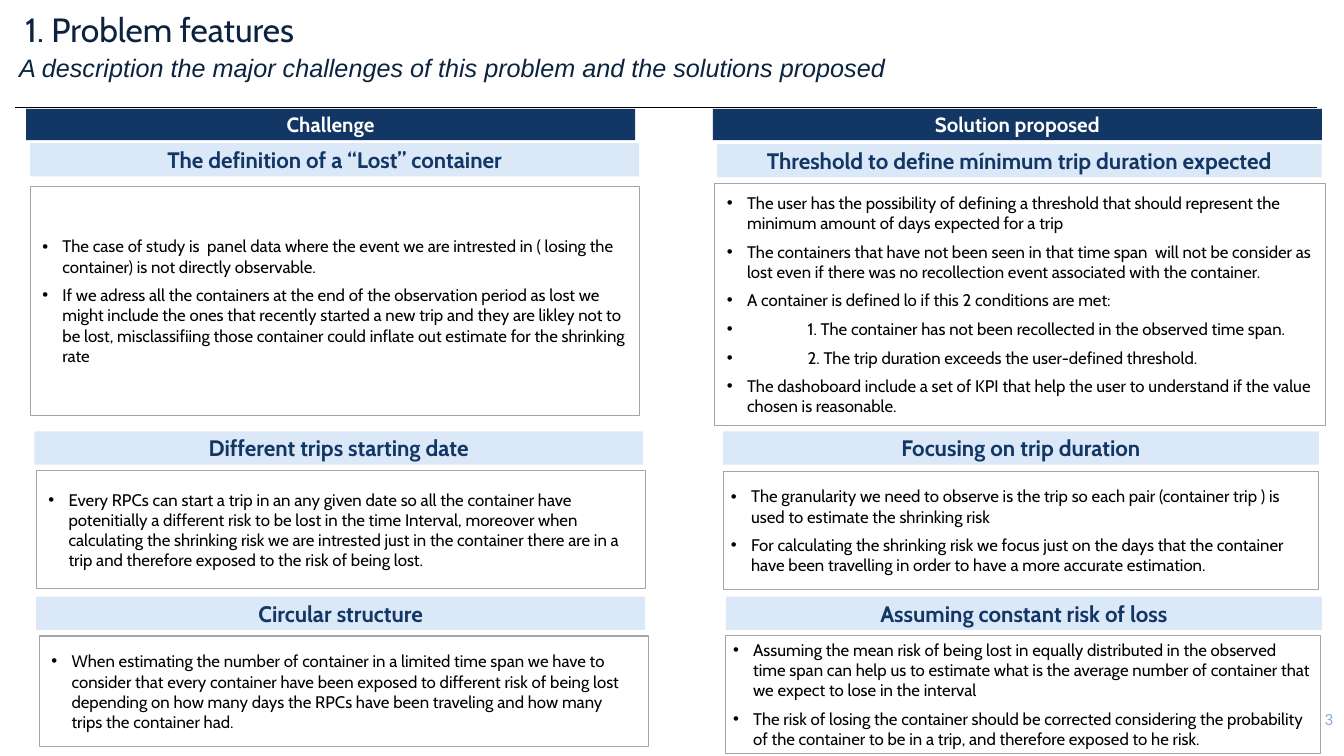
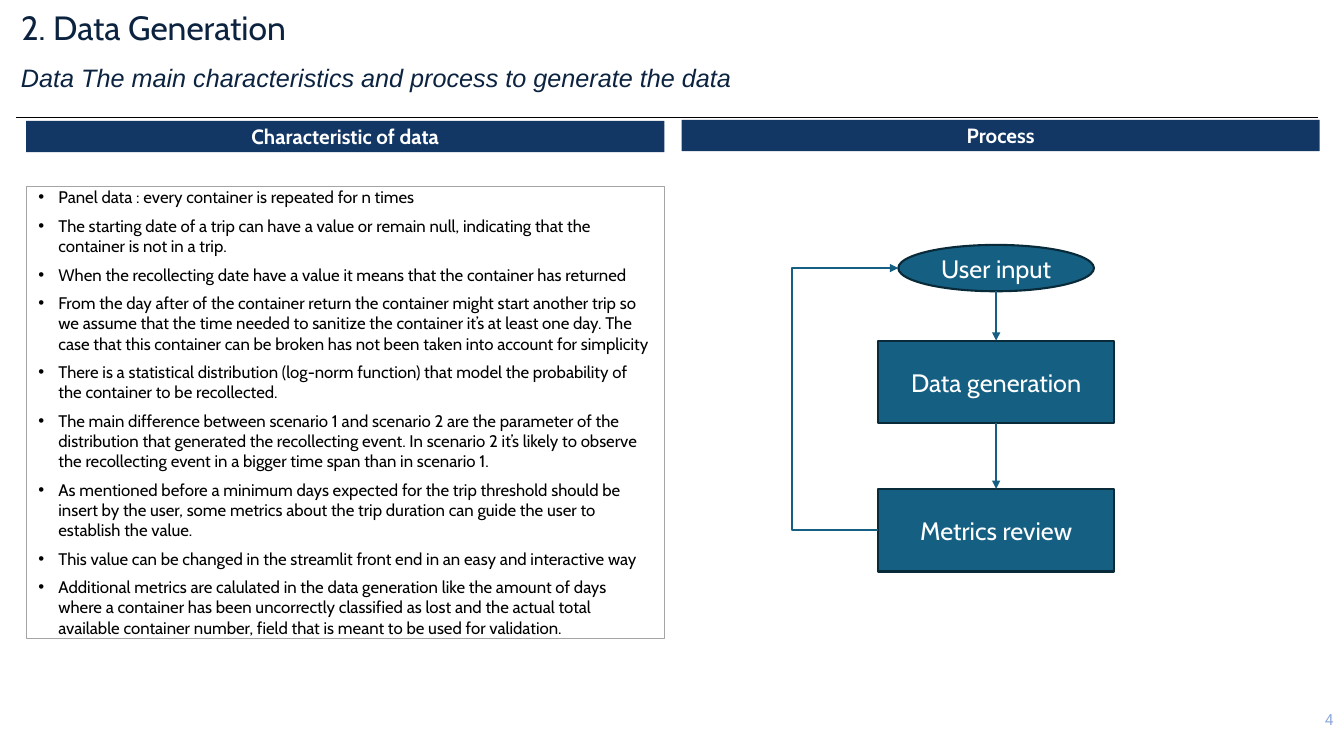
from dataclasses import dataclass
from typing import Any

from lxml.etree import SubElement
from pptx import Presentation
from pptx.dml.color import RGBColor
from pptx.enum.shapes import MSO_CONNECTOR, MSO_SHAPE
from pptx.enum.text import MSO_ANCHOR, MSO_AUTO_SIZE, PP_ALIGN
from pptx.oxml.ns import qn
from pptx.util import Emu, Pt

EMU_PER_PX = 9144


@dataclass(frozen=True)
class TextStyle:
    size: float
    color: str
    name: str = "Cabin"
    bold: bool = False
    italic: bool = False


@dataclass(frozen=True)
class Theme:
    navy: str = "133765"
    pale: str = "DAE8F8"
    teal: str = "156082"
    teal_edge: str = "092A39"
    frame: str = "A5A5A5"
    rule: str = "000000"
    title: TextStyle = TextStyle(24, "0C2340")
    subtitle: TextStyle = TextStyle(18, "0C2340", name="Arial", italic=True)
    band: TextStyle = TextStyle(14.7, "FFFFFF", bold=True)
    heading: TextStyle = TextStyle(16, "133765", bold=True)
    body: TextStyle = TextStyle(12, "000000")
    step: TextStyle = TextStyle(18, "FFFFFF")
    page: TextStyle = TextStyle(11, "8FAADC", name="Roboto")


THEME = Theme()


@dataclass(frozen=True)
class Box:
    left: int
    top: int
    width: int
    height: int

    @property
    def emu(self) -> tuple[Emu, ...]:
        return tuple(map(px, (self.left, self.top, self.width, self.height)))


@dataclass(frozen=True)
class Point:
    text: str
    indent: int = 20


@dataclass(frozen=True)
class Panel:
    at: Box
    points: tuple[Point, ...]
    inset: int = 12
    edge: float = 0.75


@dataclass(frozen=True)
class Card:
    heading: str
    heading_at: Box
    panel: Panel


@dataclass(frozen=True)
class Step:
    label: str
    at: Box
    kind: MSO_SHAPE = MSO_SHAPE.RECTANGLE


@dataclass(frozen=True)
class Header:
    title: str
    subtitle: str
    page: str
    left: int
    title_top: int
    subtitle_left: int
    subtitle_top: int
    rule_left: int


PAGE_AT = Box(1314, 705, 18, 20)


def px(length: int) -> Emu:
    return Emu(length * EMU_PER_PX)


def points(*texts: str) -> tuple[Point, ...]:
    return tuple(Point(text) for text in texts)


def apply(target: Any, values: dict[str, Any]) -> None:
    for key, value in values.items():
        setattr(target, key, value)


def write(paragraph: Any, text: str, style: TextStyle) -> None:
    run = paragraph.add_run()
    run.text = text
    apply(run.font, {"size": Pt(style.size), "name": style.name,
                     "bold": style.bold, "italic": style.italic})
    run.font.color.rgb = RGBColor.from_string(style.color)


def set_frame(frame: Any, anchor: MSO_ANCHOR, inset: int | None = None) -> None:
    apply(frame, {"word_wrap": True, "auto_size": MSO_AUTO_SIZE.NONE,
                  "vertical_anchor": anchor})
    if inset is not None:
        sides = ("left", "top", "right", "bottom")
        apply(frame, {f"margin_{side}": px(inset) for side in sides})


def add_label(slide: Any, at: Box, text: str, style: TextStyle,
              anchor: MSO_ANCHOR, inset: int | None = None) -> None:
    frame = slide.shapes.add_textbox(*at.emu).text_frame
    set_frame(frame, anchor, inset)
    write(frame.paragraphs[0], text, style)


def add_block(slide: Any, at: Box, fill: str | None = None, edge: str | None = None,
              weight: float = 0.75, kind: MSO_SHAPE = MSO_SHAPE.RECTANGLE) -> Any:
    block = slide.shapes.add_shape(kind, *at.emu)
    block.shadow.inherit = False
    if fill:
        block.fill.solid()
        block.fill.fore_color.rgb = RGBColor.from_string(fill)
    else:
        block.fill.background()
    if edge:
        block.line.color.rgb = RGBColor.from_string(edge)
        block.line.width = Pt(weight)
    else:
        block.line.fill.background()
    return block


def add_centred(block: Any, text: str, style: TextStyle, inset: int | None = 0) -> None:
    set_frame(block.text_frame, MSO_ANCHOR.MIDDLE, inset)
    paragraph = block.text_frame.paragraphs[0]
    paragraph.alignment = PP_ALIGN.CENTER
    write(paragraph, text, style)


def add_band(slide: Any, text: str, at: Box) -> None:
    add_centred(add_block(slide, at, THEME.navy), text, THEME.band)


def add_panel(slide: Any, panel: Panel) -> None:
    block = add_block(slide, panel.at, edge=THEME.frame, weight=panel.edge)
    frame = block.text_frame
    set_frame(frame, MSO_ANCHOR.MIDDLE, panel.inset)
    for index, point in enumerate(panel.points):
        paragraph = frame.add_paragraph() if index else frame.paragraphs[0]
        apply(paragraph, {"alignment": PP_ALIGN.LEFT, "space_before": Pt(6)})
        properties = paragraph._p.get_or_add_pPr()
        properties.set("marL", str(px(point.indent)))
        properties.set("indent", str(-px(point.indent)))
        SubElement(properties, qn("a:buFont")).set("typeface", "Arial")
        SubElement(properties, qn("a:buChar")).set("char", "•")
        write(paragraph, point.text, THEME.body)


def add_card(slide: Any, card: Card) -> None:
    add_centred(add_block(slide, card.heading_at, THEME.pale), card.heading, THEME.heading)
    add_panel(slide, card.panel)


def add_line(slide: Any, start: tuple[int, int], end: tuple[int, int], color: str,
             weight: float, arrow: bool = False,
             kind: MSO_CONNECTOR = MSO_CONNECTOR.STRAIGHT) -> Any:
    line = slide.shapes.add_connector(kind, *map(px, start + end))
    line.line.color.rgb = RGBColor.from_string(color)
    line.line.width = Pt(weight)
    properties = line.element.spPr
    if arrow:
        SubElement(properties.find(qn("a:ln")), qn("a:tailEnd")).set("type", "triangle")
    SubElement(properties, qn("a:effectLst"))
    return line


def add_header(deck: Any, header: Header) -> Any:
    slide = deck.slides.add_slide(deck.slide_layouts[5])
    add_label(slide, PAGE_AT, header.page, THEME.page, MSO_ANCHOR.TOP, 0)
    title = slide.shapes.title
    at = Box(header.left, header.title_top, 1123, 46)
    apply(title, dict(zip(("left", "top", "width", "height"), at.emu)))
    set_frame(title.text_frame, MSO_ANCHOR.TOP)
    heading = title.text_frame.paragraphs[0]
    apply(heading, {"alignment": PP_ALIGN.LEFT, "line_spacing": 0.9})
    write(heading, header.title, THEME.title)
    add_label(slide, Box(header.subtitle_left, header.subtitle_top, 1291, 35),
              header.subtitle, THEME.subtitle, MSO_ANCHOR.MIDDLE)
    rule_top = header.subtitle_top + 58
    add_line(slide, (header.rule_left, rule_top), (header.rule_left + 1291, rule_top),
             THEME.rule, 0.75)
    return slide


CARDS = (
    Card("The definition of a “Lost” container", Box(30, 142, 604, 33),
         Panel(Box(30, 185, 604, 227), points(
             "The case of study is  panel data where the event we are intrested in ( losing the container) is not directly observable.",
             "If we adress all the containers at the end of the observation period as lost we might include the ones that recently started a new trip and they are likley not to be lost, misclassifiing those container could inflate out estimate for the shrinking rate"))),
    Card("Threshold to define mínimum trip duration expected", Box(711, 143, 600, 33),
         Panel(Box(709, 182, 606, 240), points(
             "The user has the possibility of defining a threshold that should represent the minimum amount of days expected for a trip",
             "The containers that have not been seen in that time span  will not be consider as lost even if there was no recollection event associated with the container.",
             "A container is defined lo if this 2 conditions are met:") + (
             Point("1. The container has not been recollected in the observed time span.", 80),
             Point("2. The trip duration exceeds the user-defined threshold.", 80),
             Point("The dashoboard include a set of KPI that help the user to understand if the value chosen is reasonable.")))),
    Card("Different trips starting date", Box(34, 428, 604, 33),
         Panel(Box(36, 467, 604, 117), points(
             "Every RPCs can start a trip in an any given date so all the container have potenitially a different risk to be lost in the time Interval, moreover when calculating the shrinking risk we are intrested just in the container there are in a trip and therefore exposed to the risk of being lost."))),
    Card("Focusing on trip duration", Box(717, 428, 591, 33),
         Panel(Box(717, 468, 591, 117), points(
             "The granularity we need to observe is the trip so each pair (container trip ) is used to estimate the shrinking risk",
             "For calculating the shrinking risk we focus just on the days that the container have been travelling in order to have a more accurate estimation."), 8, 0.5)),
    Card("Circular structure", Box(36, 592, 604, 33),
         Panel(Box(39, 631, 604, 110), points(
             "When estimating the number of container in a limited time span we have to consider that every container have been exposed to different risk of being lost depending on how many days the RPCs have been traveling and how many trips the container had."))),
    Card("Assuming constant risk of loss", Box(720, 592, 591, 33),
         Panel(Box(719, 630, 591, 117), points(
             "Assuming the mean risk of being lost in equally distributed in the observed time span can help us to estimate what is the average number of container that we expect to lose in the interval",
             "The risk of losing the container should be corrected considering the probability of the container to be in a trip, and therefore exposed to he risk."), 8, 0.5)),
)

DATA_TRAITS = Panel(Box(26, 185, 633, 448), points(
    "Panel data : every container is repeated for n times",
    "The starting date of a trip can have a value or remain null, indicating that the container is not in a trip.",
    "When the recollecting date have a value it means that the container has returned",
    "From the day after of the container return the container might start another trip so we assume that the time needed to sanitize the container it’s at least one day. The case that this container can be broken has not been taken into account for simplicity",
    "There is a statistical distribution (log-norm function) that model the probability of the container to be recollected.",
    "The main difference between scenario 1 and scenario 2 are the parameter of the distribution that generated the recollecting event. In scenario 2 it’s likely to observe the recollecting event in a bigger time span than in scenario 1.",
    "As mentioned before a minimum days expected for the trip threshold should be insert by the user, some metrics about the trip duration can guide the user to establish the value.",
    "This value can be changed in the streamlit front end in an easy and interactive way",
    "Additional metrics are calulated in the data generation like the amount of days where a container has been uncorrectly classified as lost and the actual total available container number, field that is meant to be used for validation."))

STEPS = (
    Step("User input", Box(891, 243, 194, 46), MSO_SHAPE.OVAL),
    Step("Data generation", Box(871, 338, 234, 82)),
    Step("Metrics review", Box(871, 485, 234, 82)),
)
LOOP_LEFT = 786


def build_problem(deck: Any) -> None:
    slide = add_header(deck, Header(
        "1. Problem features",
        "A description the major challenges of this problem and the solutions proposed",
        "3", 15, 8, 9, 49, 15))
    add_band(slide, "Challenge", Box(26, 108, 604, 31))
    add_band(slide, "Solution proposed", Box(707, 108, 604, 31))
    for card in CARDS:
        add_card(slide, card)


def build_process(slide: Any) -> None:
    blocks = []
    for step in STEPS:
        block = add_block(slide, step.at, THEME.teal, THEME.teal_edge, 1.5, step.kind)
        add_centred(block, step.label, THEME.step, None)
        blocks.append(block)
    for index, (upper, lower) in enumerate(zip(STEPS, STEPS[1:])):
        middle = upper.at.left + upper.at.width // 2
        arrow = add_line(slide, (middle, upper.at.top + upper.at.height),
                         (middle, lower.at.top), THEME.teal, 1.5, True)
        if upper.kind == MSO_SHAPE.RECTANGLE:
            arrow.begin_connect(blocks[index], 2)
        arrow.end_connect(blocks[index + 1], 0)
    first, last = STEPS[0].at, STEPS[-1].at
    loop = add_line(slide, (last.left, last.top + last.height // 2),
                    (first.left, first.top + first.height // 2),
                    THEME.teal, 1.5, True, MSO_CONNECTOR.ELBOW)
    bend = (LOOP_LEFT - last.left) * 100000 // (first.left - last.left)
    guides = loop.element.spPr.find(qn("a:prstGeom")).get_or_add_avLst()
    bend_guide = SubElement(guides, qn("a:gd"))
    for key, value in {"name": "adj1", "fmla": f"val {bend}"}.items():
        bend_guide.set(key, value)


def build_data(deck: Any) -> None:
    slide = add_header(deck, Header(
        "2. Data Generation",
        "Data The main characteristics and process to generate the data",
        "4", 11, 6, 11, 59, 16))
    add_panel(slide, DATA_TRAITS)
    add_band(slide, "Characteristic of data", Box(26, 120, 633, 31))
    build_process(slide)
    add_band(slide, "Process", Box(676, 119, 633, 31))


def main() -> None:
    deck = Presentation()
    deck.slide_width, deck.slide_height = px(1333), px(750)
    build_problem(deck)
    build_data(deck)
    deck.save("out.pptx")


if __name__ == "__main__":
    main()
